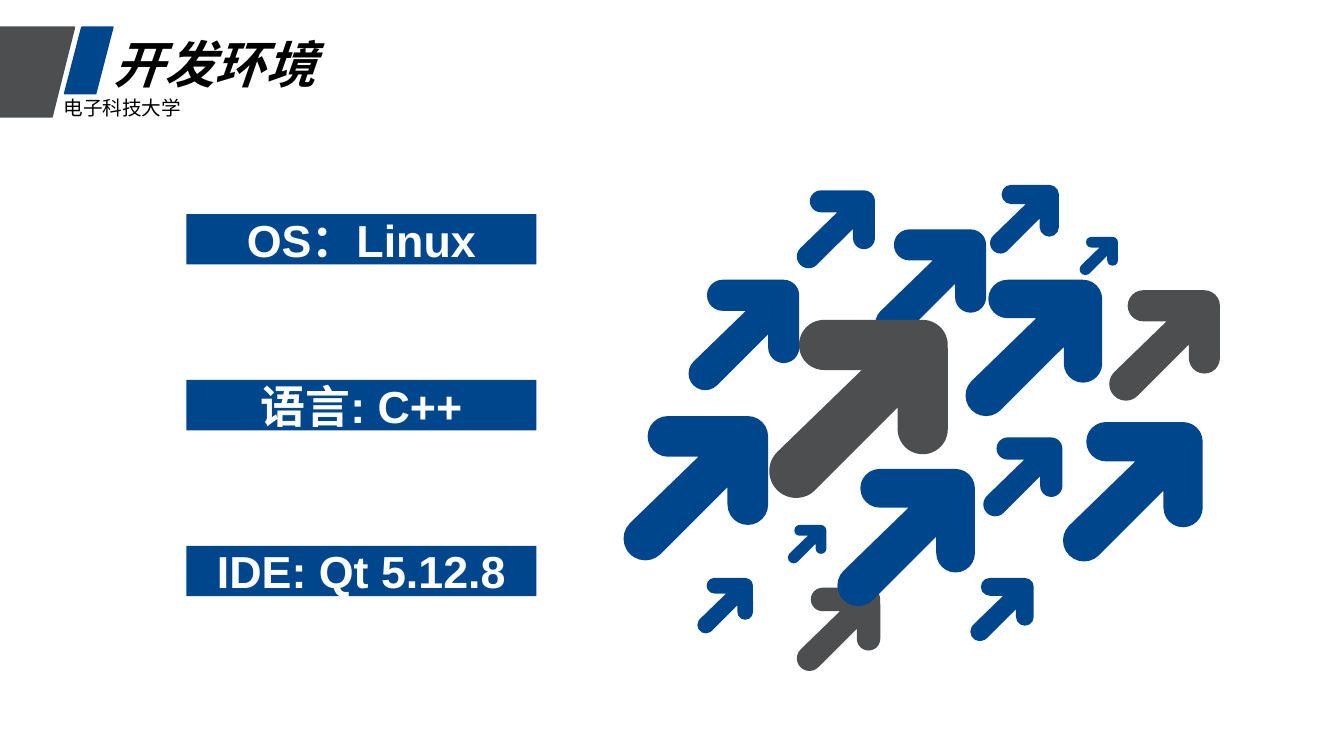
from lxml import etree
from pptx import Presentation
from pptx.dml.color import RGBColor
from pptx.enum.shapes import MSO_SHAPE
from pptx.enum.text import MSO_ANCHOR, MSO_AUTO_SIZE, PP_ALIGN
from pptx.oxml.ns import qn
from pptx.util import Pt

RECTANGLE = MSO_SHAPE.RECTANGLE
PARALLELOGRAM = MSO_SHAPE.PARALLELOGRAM
MIDDLE = MSO_ANCHOR.MIDDLE
CENTER = PP_ALIGN.CENTER
FIT_SHAPE = MSO_AUTO_SIZE.SHAPE_TO_FIT_TEXT

BLUE = RGBColor(0x00, 0x46, 0x8D)
GRAY = RGBColor(0x4D, 0x4E, 0x4F)
WHITE = RGBColor(0xFF, 0xFF, 0xFF)
BLACK = RGBColor(0x00, 0x00, 0x00)
DEGREE = 60000


def add_run(frame, text, size, color, bold=False, italic=False):
    run = frame.paragraphs[0].add_run()
    run.text = text
    run.font.name = "Arial"
    run.font.size = Pt(size)
    run.font.color.rgb = color
    run.font.bold = bold
    run.font.italic = italic


def round_segment(segment, radius, start, sweep):
    arc = etree.Element(qn("a:arcTo"))
    arc.set("wR", str(radius))
    arc.set("hR", str(radius))
    arc.set("stAng", str(start * DEGREE))
    arc.set("swAng", str(sweep * DEGREE))
    segment.getparent().replace(segment, arc)


prs = Presentation()
prs.slide_width = Pt(960)
prs.slide_height = Pt(540)
slide = prs.slides.add_slide(prs.slide_layouts[6])

BANNERS = [
    (-28.8, 82.1, 64.1, 0.25, GRAY),
    (46.1, 34.6, 47.5, 0.356, BLUE),
]
for left, width, height, slant, color in BANNERS:
    banner = slide.shapes.add_shape(
        PARALLELOGRAM, Pt(left), Pt(19.4), Pt(width), Pt(height))
    banner.adjustments[0] = slant
    banner.shadow.inherit = False
    banner.fill.solid()
    banner.fill.fore_color.rgb = color
    banner.line.color.rgb = color
    banner.line.width = Pt(1)

HEADINGS = [
    ("开发环境", 74.2, 20.2, 159.8, 51.1, 36, True),
    ("电子科技大学", 38.2, 64.8, 99.4, 24.5, 14, False),
]
for text, left, top, width, height, size, strong in HEADINGS:
    heading = slide.shapes.add_textbox(Pt(left), Pt(top), Pt(width), Pt(height))
    heading.text_frame.word_wrap = False
    heading.text_frame.auto_size = FIT_SHAPE
    add_run(heading.text_frame, text, size, BLACK, strong, strong)

for row, text in enumerate(["OS：Linux", "语言: C++", "IDE: Qt 5.12.8"]):
    label = slide.shapes.add_shape(
        RECTANGLE, Pt(133.2), Pt(152.9 + 118.5 * row), Pt(250), Pt(36))
    label.shadow.inherit = False
    label.fill.solid()
    label.fill.fore_color.rgb = BLUE
    label.line.fill.background()
    label.text_frame.word_wrap = True
    label.text_frame.vertical_anchor = MIDDLE
    label.text_frame.paragraphs[0].alignment = CENTER
    add_run(label.text_frame, text, 32, WHITE, True)

ARROW_START = (0.31, 0)
ARROW_STEPS = [
    (0.86, 0, None),
    (1, 0.14, (0.14, 270, 90)),
    (1, 0.61, None),
    (0.72, 0.61, (0.14, 0, 180)),
    (0.72, 0.49, None),
    (0.26, 0.95, None),
    (0.15, 0.99, (0.15, 45, 45)),
    (0, 0.84, (0.15, 90, 90)),
    (0.04, 0.73, (0.15, 180, 45)),
    (0.52, 0.28, None),
    (0.31, 0.28, None),
    (0.31, 0, (0.14, 90, 180)),
]
ARROWS = [
    (569, 419.8, 59.8, GRAY),
    (625, 163.8, 79.4, BLUE),
    (549, 228.5, 128, GRAY),
    (689.3, 199.8, 98, BLUE),
    (491.5, 199.8, 79.4, BLUE),
    (597.8, 335, 98.6, BLUE),
    (445, 297.2, 103.7, BLUE),
    (702.2, 312.5, 56.7, BLUE),
    (792, 207.3, 79.4, GRAY),
    (707, 132, 49.4, BLUE),
    (771.1, 169.2, 27.5, BLUE),
    (562.7, 375, 27.6, BLUE),
    (498, 412.8, 39.9, BLUE),
    (692.9, 412.8, 45.5, BLUE),
    (569, 136, 56, BLUE),
    (758.9, 301.5, 100.2, BLUE),
]
for left, top, size, color in ARROWS:
    start_x, start_y = ARROW_START
    builder = slide.shapes.build_freeform(
        Pt(left + size * start_x), Pt(top + size * start_y))
    builder.add_line_segments(
        [(Pt(left + size * x), Pt(top + size * y)) for x, y, bend in ARROW_STEPS],
        close=True)
    arrow = builder.convert_to_shape()
    arrow.shadow.inherit = False
    arrow.fill.solid()
    arrow.fill.fore_color.rgb = color
    arrow.line.fill.background()
    segments = list(arrow.element.iter(qn("a:lnTo")))
    for segment, (x, y, bend) in zip(segments, ARROW_STEPS):
        if bend:
            radius, start, sweep = bend
            round_segment(segment, Pt(size * radius), start, sweep)

prs.save("out.pptx")
